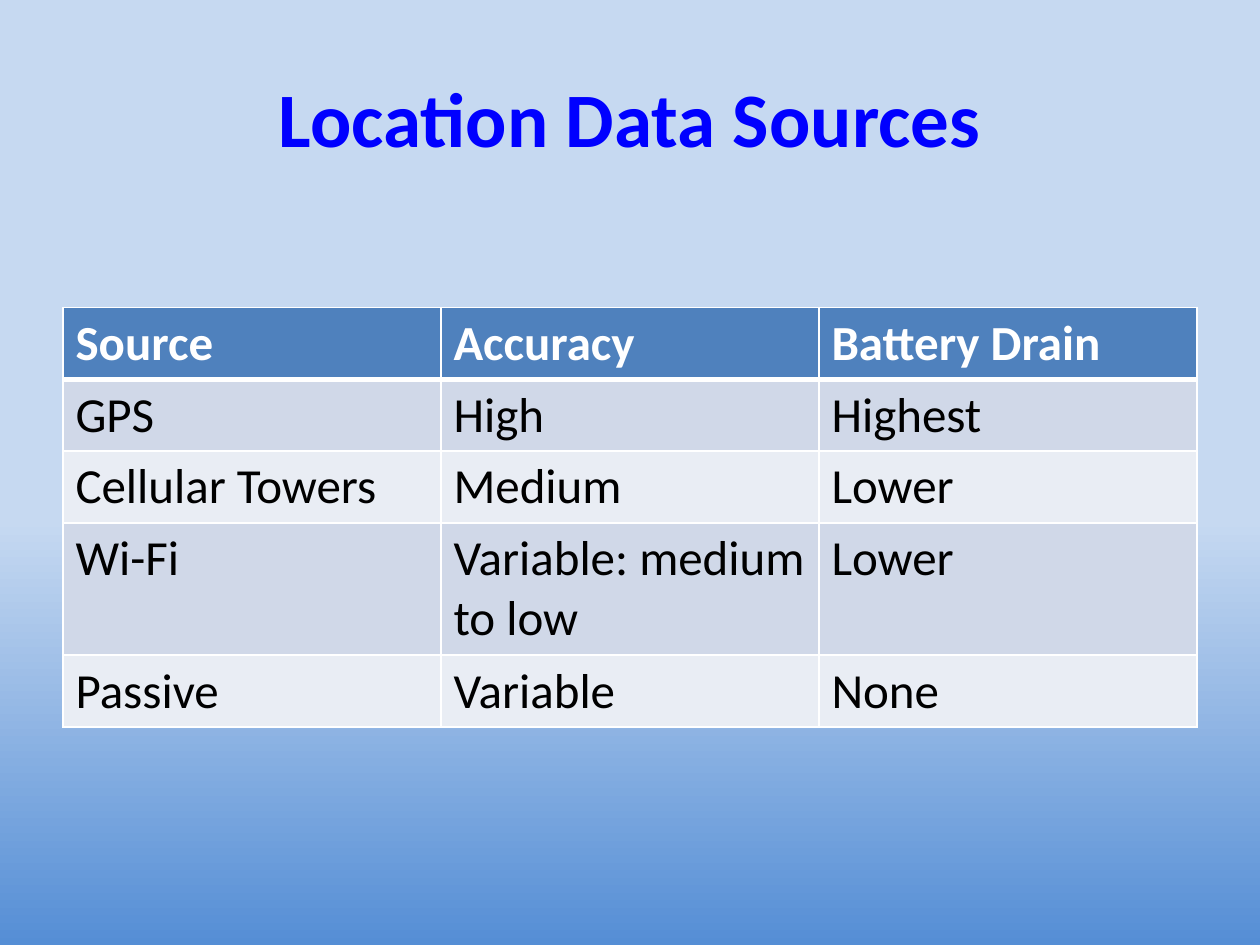
from dataclasses import dataclass

from lxml import etree
from pptx import Presentation
from pptx import util as u
from pptx.dml.color import RGBColor
from pptx.enum import text
from pptx.oxml import ns

Inches = u.Inches


@dataclass(frozen=True)
class Theme:
    font: str = "Calibri"
    title_size: int = 44
    table_size: int = 28
    title: str = "0000FF"
    header: str = "4F81BD"
    header_text: str = "FFFFFF"
    body_text: str = "000000"
    border: str = "FFFFFF"
    bands: tuple = ("D0D8E8", "E9EDF4")
    background: tuple = ((0.55, "C6D9F1"), (1.0, "558ED5"))


THEME = Theme()

ROWS = (
    ("Source", "Accuracy", "Battery Drain"),
    ("GPS", "High", "Highest"),
    ("Cellular Towers", "Medium", "Lower"),
    ("Wi-Fi", "Variable: medium to low", "Lower"),
    ("Passive", "Variable", "None"),
)
ROW_HEIGHTS = (0.57, 0.57, 0.57, 1.05, 0.57)


def set_text(frame, wording, size, color, bold):
    paragraph = frame.paragraphs[0]
    run = paragraph.add_run()
    run.text = wording
    formats = {"name": THEME.font, "size": u.Pt(size), "bold": bold}
    for name, value in formats.items():
        setattr(run.font, name, value)
    run.font.color.rgb = RGBColor.from_string(color)
    return paragraph


def set_borders(cell, widths):
    """Draw the cell's edges; widths maps L, R, T and B, in that order, to points."""
    properties = cell._tc.get_or_add_tcPr()
    for index, (side, width) in enumerate(widths.items()):
        line = etree.Element(ns.qn(f"a:ln{side}"), w=str(u.Pt(width)))
        fill = etree.SubElement(line, ns.qn("a:solidFill"))
        etree.SubElement(fill, ns.qn("a:srgbClr"), val=THEME.border)
        properties.insert(index, line)


def paint_background(slide):
    fill = slide.background.fill
    fill.gradient()
    fill.gradient_angle = 270
    for stop, (position, color) in zip(fill.gradient_stops, THEME.background):
        stop.position = position
        stop.color.rgb = RGBColor.from_string(color)


def add_title(slide, wording, left, top, width, height):
    frame = slide.shapes.add_textbox(left, top, width, height).text_frame
    frame.word_wrap = True
    frame.vertical_anchor = text.MSO_ANCHOR.MIDDLE
    paragraph = set_text(frame, wording, THEME.title_size, THEME.title, True)
    paragraph.alignment = text.PP_ALIGN.CENTER


def add_source_table(slide, rows, left, top, width, height):
    table = slide.shapes.add_table(
        len(rows), len(rows[0]), left, top, width, height).table
    for row, row_height in zip(table.rows, ROW_HEIGHTS):
        row.height = Inches(row_height)
    for row_index, row in enumerate(rows):
        is_header = row_index == 0
        fill = THEME.header if is_header else THEME.bands[(row_index - 1) % 2]
        color = THEME.header_text if is_header else THEME.body_text
        borders = {"L": 1, "R": 1,
                   "T": 3 if row_index == 1 else 1,
                   "B": 3 if is_header else 1}
        for column_index, wording in enumerate(row):
            cell = table.cell(row_index, column_index)
            cell.fill.solid()
            cell.fill.fore_color.rgb = RGBColor.from_string(fill)
            set_text(cell.text_frame, wording, THEME.table_size, color, is_header)
            set_borders(cell, borders)


def main():
    presentation = Presentation()
    presentation.slide_width = Inches(10)
    presentation.slide_height = Inches(7.5)
    slide = presentation.slides.add_slide(presentation.slide_layouts[6])
    paint_background(slide)
    left, width = Inches(0.5), Inches(9)
    add_title(slide, "Location Data Sources", left, Inches(0.3), width, Inches(1.25))
    add_source_table(slide, ROWS, left, Inches(2.44), width, Inches(sum(ROW_HEIGHTS)))
    presentation.save("out.pptx")


if __name__ == "__main__":
    main()
